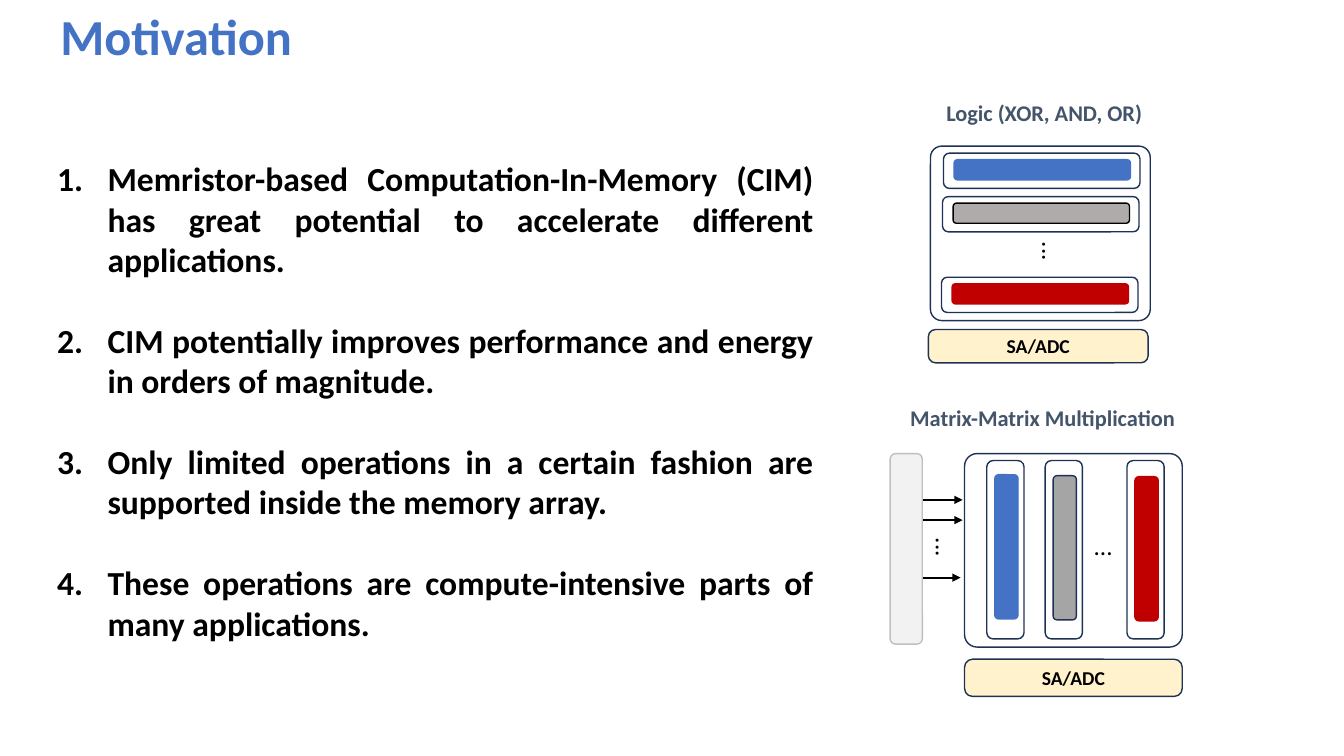
from lxml import etree
from pptx import Presentation
from pptx.dml.color import RGBColor
from pptx.enum.shapes import MSO_CONNECTOR, MSO_SHAPE
from pptx.enum.text import MSO_ANCHOR, PP_ALIGN
from pptx.oxml.ns import qn
from pptx.util import Pt

ROUNDED = MSO_SHAPE.ROUNDED_RECTANGLE
STRAIGHT = MSO_CONNECTOR.STRAIGHT
LEFT, CENTER, JUSTIFY = PP_ALIGN.LEFT, PP_ALIGN.CENTER, PP_ALIGN.JUSTIFY
TOP, MIDDLE = MSO_ANCHOR.TOP, MSO_ANCHOR.MIDDLE

FONT = "Calibri"
BLACK = RGBColor(0x00, 0x00, 0x00)
BLUE = RGBColor(0x44, 0x72, 0xC4)
RED = RGBColor(0xC0, 0x00, 0x00)
WARM_GRAY = RGBColor(0xAF, 0xAB, 0xAB)
MID_GRAY = RGBColor(0xA5, 0xA5, 0xA5)
PALE_GRAY = RGBColor(0xF2, 0xF2, 0xF2)
EDGE_GRAY = RGBColor(0xBF, 0xBF, 0xBF)
NAVY = RGBColor(0x1E, 0x32, 0x56)
CREAM = RGBColor(0xFF, 0xF2, 0xCC)
SLATE = RGBColor(0x44, 0x54, 0x6A)

TITLE = "Motivation"
POINTS = [
    "Memristor-based Computation-In-Memory (CIM) has great potential to "
    "accelerate different applications.",
    "CIM potentially improves performance and energy in orders of magnitude.",
    "Only limited operations in a certain fashion are supported inside the memory array.",
    "These operations are compute-intensive parts of many applications.",
]
SENSE = "SA/ADC"
DOTS = "..."

# Boxes are (left, top, width, height); vectors are (left, top, fill, line).
LOGIC = {
    "heading": ("Logic (XOR, AND, OR)", (667.4, 67, 157, 26.6)),
    "array": (664.6, 104.4, 157, 124.6),
    "sense": (663.1, 235.4, 157, 23.8),
    "frame": (140.4, 25.2),
    "bar": (126, 14.4),
    "vectors": [(673.9, 109.4, BLUE, BLUE),
                (673.2, 140.4, WARM_GRAY, BLACK),
                (672.5, 198, RED, RED)],
    "bar_shift": (7.6, [4.7, 4.7, 4.7]),
    "dots": [((740.2, 167, 16.6, 28), 90)],
}
MATRIX = {
    "heading": ("Matrix-Matrix Multiplication", (641.5, 285.1, 206.6, 26.6)),
    "array": (689, 324, 155.5, 138.2),
    "sense": (689, 470.9, 155.5, 26.6),
    "frame": (26.6, 127.4),
    "bar": (16.6, 103),
    "vectors": [(704.9, 329, BLUE, BLUE),
                (746.6, 329, MID_GRAY, NAVY),
                (805, 329, RED, RED)],
    "bar_shift": (5.7, [10.1, 10.8, 11.5]),
    "dots": [((781.2, 378.7, 17.3, 29.5), 0),
             ((663.8, 379.4, 18, 27.4), 90)],
}
INPUT_DRIVER = (635.8, 324, 23, 136.1)
INPUT_ARROWS = [(656, 687.6, 357.1), (656, 687.6, 371.5), (653.8, 686.2, 412.6)]

deck = Presentation()
deck.slide_width, deck.slide_height = Pt(960), Pt(540)
slide = deck.slides.add_slide(deck.slide_layouts[6])


def write(paragraph, words, size, color, bold=True, align=LEFT):
    paragraph.alignment = align
    run = paragraph.add_run()
    run.text = words
    run.font.name, run.font.size, run.font.bold = FONT, Pt(size), bold
    run.font.color.rgb = color


def add_text_frame(box, wrap=True, inset=True):
    area = slide.shapes.add_textbox(*map(Pt, box))
    frame = area.text_frame
    frame.word_wrap = wrap
    frame.vertical_anchor = TOP
    if not inset:
        frame.margin_left = frame.margin_right = Pt(0)
        frame.margin_top = frame.margin_bottom = Pt(0)
    return area, frame


def indent(paragraph, left, first=0):
    properties = paragraph._p.get_or_add_pPr()
    properties.set("marL", str(Pt(left)))
    properties.set("indent", str(Pt(first)))
    return properties


def rounded(box, line, fill=None, corner=0.1667):
    shape = slide.shapes.add_shape(ROUNDED, *map(Pt, box))
    shape.shadow.inherit = False
    shape.adjustments[0] = corner
    if fill is None:
        shape.fill.background()
    else:
        shape.fill.solid()
        shape.fill.fore_color.rgb = fill
    shape.line.color.rgb = line
    shape.line.width = Pt(1)
    return shape


def add_arrow(start, end, y):
    arrow = slide.shapes.add_connector(STRAIGHT, Pt(start), Pt(y), Pt(end), Pt(y))
    arrow.line.color.rgb = BLACK
    arrow.line.width = Pt(1.5)
    etree.SubElement(arrow.line._get_or_add_ln(), qn("a:tailEnd"), type="triangle")
    etree.SubElement(arrow._element.spPr, qn("a:effectLst"))


def add_memory(memory):
    """Draw a memory array with its vectors, sense block and heading."""
    rounded(memory["array"], NAVY, corner=0.065)
    shift_x, shifts_y = memory["bar_shift"]
    for (x, y, fill, line), shift_y in zip(memory["vectors"], shifts_y):
        rounded((x + shift_x, y + shift_y, *memory["bar"]), line, fill)
        rounded((x, y, *memory["frame"]), NAVY)
    for box, rotation in memory["dots"]:
        area, frame = add_text_frame(box, wrap=False, inset=False)
        area.rotation = rotation
        write(frame.paragraphs[0], DOTS, 18, BLACK, bold=False)
    sense = rounded(memory["sense"], NAVY, CREAM, 0.217).text_frame
    sense.vertical_anchor = MIDDLE
    write(sense.paragraphs[0], SENSE, 14, BLACK, align=CENTER)
    words, box = memory["heading"]
    _, heading = add_text_frame(box, wrap=False)
    write(heading.paragraphs[0], words, 16, SLATE, align=CENTER)


_, title = add_text_frame((0, 0, 960, 51))
write(title.paragraphs[0], TITLE, 36, BLUE)
indent(title.paragraphs[0], 36)

_, argument = add_text_frame((33.8, 109.4, 554.4, 385.2))
for number, point in enumerate(POINTS):
    paragraph = argument.add_paragraph() if number else argument.paragraphs[0]
    write(paragraph, point, 24, BLACK, align=JUSTIFY)
    if number:
        paragraph.space_before = Pt(29)
    properties = indent(paragraph, 36, -36)
    etree.SubElement(properties, qn("a:buFont"), typeface="+mj-lt")
    etree.SubElement(properties, qn("a:buAutoNum"), type="arabicPeriod")

add_memory(LOGIC)
add_memory(MATRIX)
for start, end, y in INPUT_ARROWS:
    add_arrow(start, end, y)
rounded(INPUT_DRIVER, EDGE_GRAY, PALE_GRAY)

deck.save("out.pptx")
